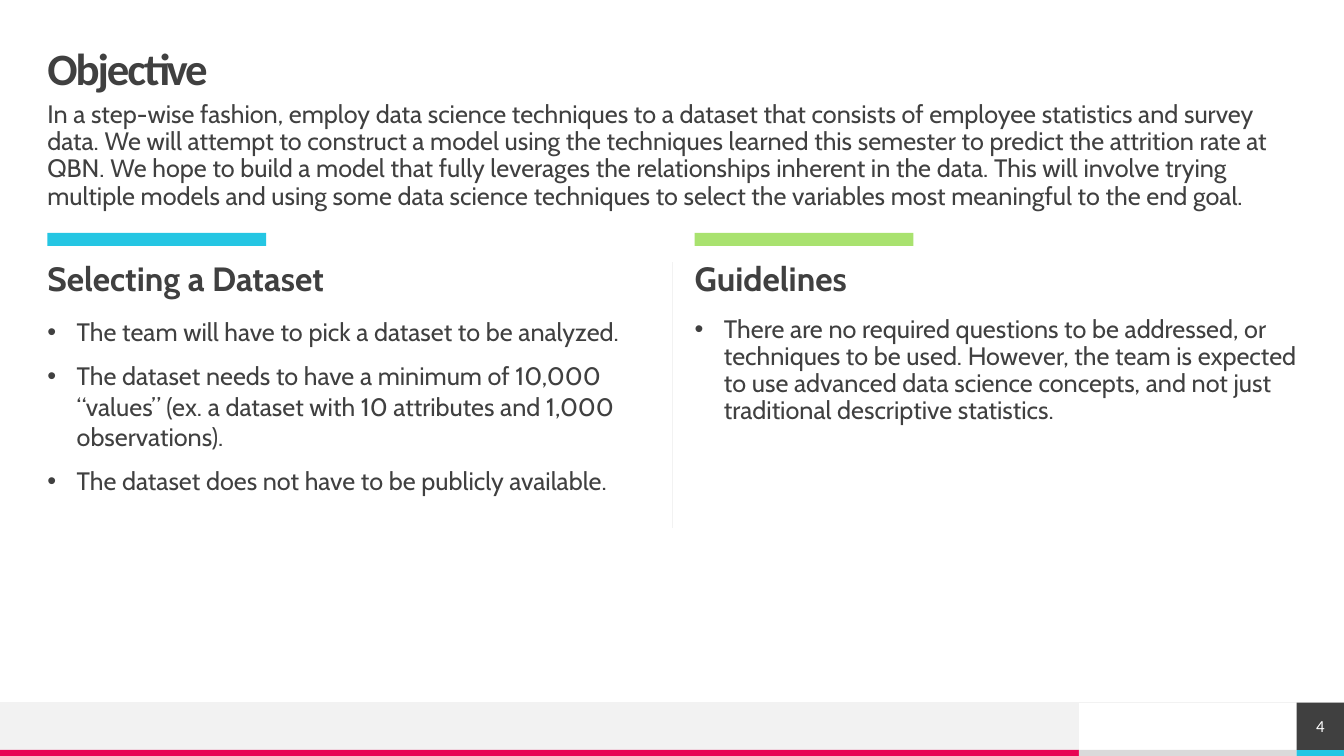
from dataclasses import dataclass

from lxml.etree import SubElement
from pptx import Presentation
from pptx.dml.color import RGBColor
from pptx.enum.shapes import MSO_CONNECTOR, MSO_SHAPE
from pptx.enum.text import MSO_ANCHOR, MSO_AUTO_SIZE, PP_ALIGN
from pptx.oxml.ns import qn
from pptx.util import Emu, Pt

EMU_PER_PX = 9144


@dataclass(frozen=True)
class Theme:
    ink: str = "404040"
    white: str = "FFFFFF"
    pale: str = "F2F2F2"
    grey: str = "DADADA"
    pink: str = "E80554"
    cyan: str = "25C6E3"
    green: str = "A9E26F"
    title_font: str = "Calibri"
    body_font: str = "Cabin"
    title_size: int = 32
    heading_size: int = 24
    body_size: int = 18
    number_size: int = 12


@dataclass(frozen=True)
class Box:
    x: int
    y: int
    w: int
    h: int


@dataclass(frozen=True)
class Style:
    size: int
    font: str
    color: str
    bold: bool = False
    tracking: int = 0
    line_spacing: float = 0.9
    space_before: int = 10
    bullet: bool = False
    align: PP_ALIGN = PP_ALIGN.LEFT
    anchor: MSO_ANCHOR = MSO_ANCHOR.TOP


@dataclass(frozen=True)
class Column:
    x: int
    accent: str
    heading: str
    items: tuple[str, ...]
    line_spacing: float
    heading_idx: int
    list_idx: int


THEME = Theme()
MARGIN = 47
COLUMN_W = 598
BULLET_INDENT = 29
FOOTER_Y, FOOTER_H, STRIP_H = 697, 47, 6
STRIP_Y = FOOTER_Y + FOOTER_H
SLIDE_W, SLIDE_H = 1333, 750
NUMBER_X = SLIDE_W - FOOTER_H
FOOTER_W = 1070

INTRO = (
    "In a step-wise fashion, employ data science techniques to a dataset that consists of "
    "employee statistics and survey data. We will attempt to construct a model using the "
    "techniques learned this semester to predict the attrition rate at QBN. We hope to build "
    "a model that fully leverages the relationships inherent in the data. This will involve "
    "trying multiple models and using some data science techniques to select the variables "
    "most meaningful to the end goal."
)

COLUMNS = (
    Column(MARGIN, THEME.cyan, "Selecting a Dataset", (
        "The team will have to pick a dataset to be analyzed.",
        "The dataset needs to have a minimum of 10,000 “values” "
        "(ex. a dataset with 10 attributes and 1,000 observations).",
        "The dataset does not have to be publicly available.",
    ), 1.0, 1, 2),
    Column(689, THEME.green, "Guidelines", (
        "There are no required questions to be addressed, or techniques to be used. "
        "However, the team is expected to use advanced data science concepts, "
        "and not just traditional descriptive statistics.",
    ), 0.9, 3, 4),
)


def px(n: int) -> Emu:
    return Emu(n * EMU_PER_PX)


def place(sp, box: Box) -> None:
    sp.left, sp.top, sp.width, sp.height = map(px, (box.x, box.y, box.w, box.h))


def write(sp, texts: tuple[str, ...], style: Style) -> None:
    tf = sp.text_frame
    tf.word_wrap = True
    tf.auto_size = MSO_AUTO_SIZE.NONE
    tf.vertical_anchor = style.anchor
    tf.margin_left = tf.margin_right = tf.margin_top = tf.margin_bottom = 0
    for i, text in enumerate(texts):
        p = tf.add_paragraph() if i else tf.paragraphs[0]
        p.alignment = style.align
        p.line_spacing = style.line_spacing
        p.space_before = Pt(style.space_before)
        p.space_after = Pt(0)
        pPr = p._p.get_or_add_pPr()
        indent = px(BULLET_INDENT) if style.bullet else 0
        pPr.set("marL", str(indent))
        pPr.set("indent", str(-indent))
        if style.bullet:
            SubElement(pPr, qn("a:buFont"), typeface="Arial")
            SubElement(pPr, qn("a:buChar"), char="•")
        else:
            SubElement(pPr, qn("a:buNone"))
        r = p.add_run()
        r.text = text
        r.font.size = Pt(style.size)
        r.font.name = style.font
        r.font.bold = style.bold
        r.font.color.rgb = RGBColor.from_string(style.color)
        if style.tracking:
            r._r.get_or_add_rPr().set("spc", str(style.tracking))


def add_rect(s, box: Box, color: str):
    sp = s.shapes.add_shape(MSO_SHAPE.RECTANGLE, 0, 0, 0, 0)
    place(sp, box)
    sp.shadow.inherit = False
    sp.fill.solid()
    sp.fill.fore_color.rgb = RGBColor.from_string(color)
    sp.line.fill.background()
    return sp


def add_rule(s, x1: int, y1: int, x2: int, y2: int) -> None:
    line = s.shapes.add_connector(MSO_CONNECTOR.STRAIGHT, px(x1), px(y1), px(x2), px(y2))
    line.line.color.rgb = RGBColor.from_string(THEME.pale)
    line.line.width = Pt(0.5)
    SubElement(line._element.spPr, qn("a:effectLst"))


def add_footer(s) -> None:
    add_rect(s, Box(0, FOOTER_Y, FOOTER_W, FOOTER_H), THEME.pale)
    edges = (0, FOOTER_W, NUMBER_X, SLIDE_W)
    for x, end, color in zip(edges, edges[1:], (THEME.pink, THEME.grey, THEME.cyan)):
        add_rect(s, Box(x, STRIP_Y, end - x, STRIP_H), color)
    add_rule(s, SLIDE_W, FOOTER_Y, 0, FOOTER_Y)
    number = add_rect(s, Box(NUMBER_X, FOOTER_Y, FOOTER_H, FOOTER_H), THEME.ink)
    write(number, ("4",), Style(
        THEME.number_size, THEME.title_font, THEME.white, line_spacing=1.0,
        space_before=0, align=PP_ALIGN.CENTER, anchor=MSO_ANCHOR.MIDDLE))


def add_column(s, column: Column) -> None:
    add_rect(s, Box(column.x, 231, 217, 13), column.accent)
    heading = s.placeholders[column.heading_idx]
    place(heading, Box(column.x, 260, COLUMN_W, 39))
    write(heading, (column.heading,),
          Style(THEME.heading_size, THEME.body_font, THEME.ink, bold=True))
    items = s.placeholders[column.list_idx]
    place(items, Box(column.x, 314, COLUMN_W, 369))
    write(items, column.items, Style(
        THEME.body_size, THEME.body_font, THEME.ink,
        line_spacing=column.line_spacing, bullet=True))


def main() -> None:
    prs = Presentation()
    prs.slide_width, prs.slide_height = px(SLIDE_W), px(SLIDE_H)
    s = prs.slides.add_slide(prs.slide_layouts.get_by_name("Comparison"))
    add_footer(s)
    title = s.shapes.title
    place(title, Box(MARGIN, 47, 1240, 47))
    write(title, ("Objective",), Style(
        THEME.title_size, THEME.title_font, THEME.ink, bold=True, tracking=-150,
        space_before=0, anchor=MSO_ANCHOR.MIDDLE))
    intro = s.shapes.add_textbox(0, 0, 0, 0)
    place(intro, Box(MARGIN, 101, 1237, 143))
    write(intro, (INTRO,), Style(THEME.body_size, THEME.body_font, THEME.ink))
    for column in COLUMNS:
        add_column(s, column)
    add_rule(s, 667, 260, 667, 524)
    prs.save("out.pptx")


if __name__ == "__main__":
    main()
